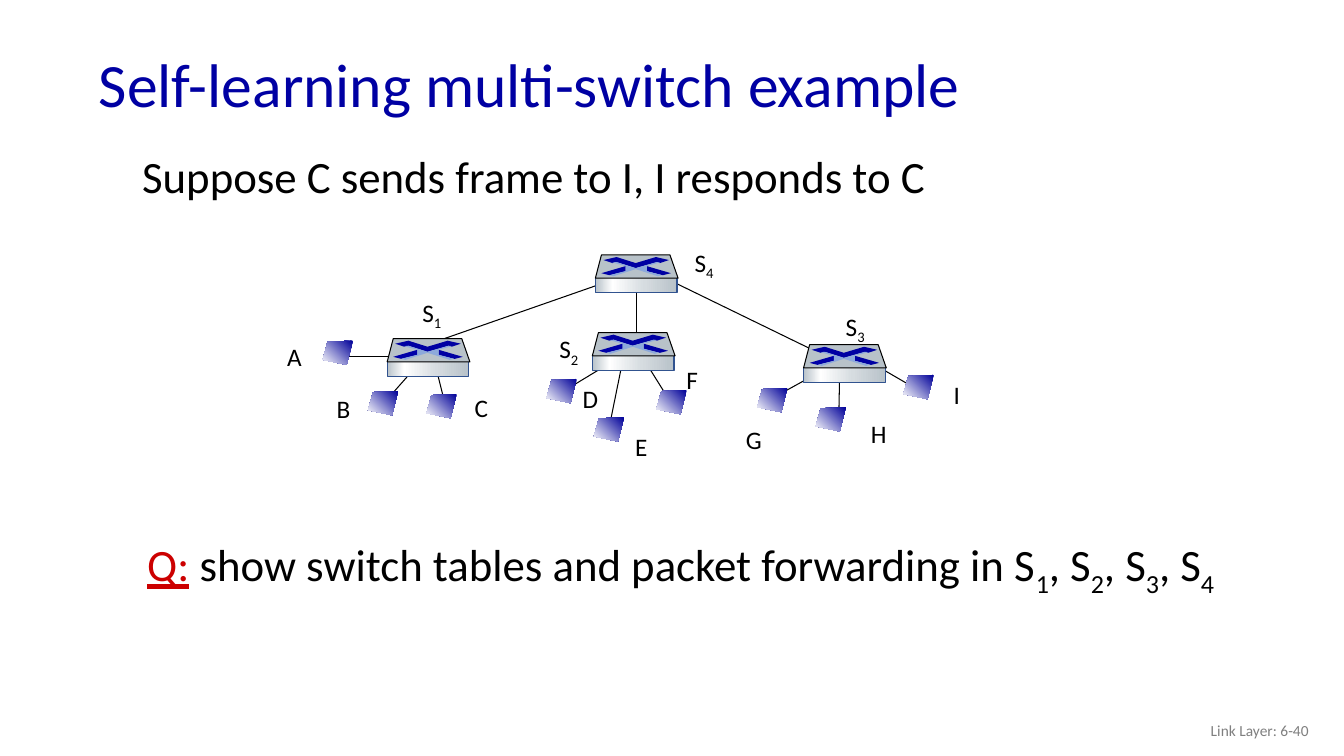
from lxml import etree
from pptx import Presentation
from pptx.dml.color import RGBColor
from pptx.enum.shapes import MSO_CONNECTOR, MSO_SHAPE
from pptx.enum.text import MSO_ANCHOR, MSO_AUTO_SIZE, PP_ALIGN
from pptx.oxml.ns import qn
from pptx.util import Inches, Pt

STRAIGHT = MSO_CONNECTOR.STRAIGHT
RECTANGLE = MSO_SHAPE.RECTANGLE
TOP, MIDDLE = MSO_ANCHOR.TOP, MSO_ANCHOR.MIDDLE
LEFT, RIGHT = PP_ALIGN.LEFT, PP_ALIGN.RIGHT
NO_FIT = MSO_AUTO_SIZE.NONE

FONT = "Calibri"
BLACK = RGBColor(0x00, 0x00, 0x00)
WHITE = RGBColor(0xFF, 0xFF, 0xFF)
TITLE_BLUE = RGBColor(0x00, 0x00, 0xA3)
FOOT_BLUE = RGBColor(0x00, 0x00, 0xA8)
HOST_BLUE = RGBColor(0x00, 0x00, 0x99)
PALE_BLUE = RGBColor(0x8D, 0xA9, 0xDB)
EDGE_BLUE = RGBColor(0x31, 0x53, 0x8F)
STEEL = RGBColor(0xB8, 0xC2, 0xC9)
LIGHT_STEEL = RGBColor(0xD6, 0xDC, 0xE0)
RED = RGBColor(0xCC, 0x00, 0x00)
GREY = RGBColor(0x7F, 0x7F, 0x7F)

# The grid has 133.3 columns and 75 rows; a cell is a tenth of an inch
CELL = Inches(0.1)
COLUMNS, ROWS = 133.3, 75

# Outlines in cells, measured from the top left corner of each icon
HOST = [(3, 0), (0.5, 0.1), (0, 1.9), (2.4, 2.4)]
PLATE = [(0, 2.3), (0.6, 0), (7.4, 0), (8.2, 2.3)]
SWITCH_ARROWS = [
    ([(6, 0.2), (7.3, 0.5), (6.4, 0.8), (6.1, 0.7), (4, 1.3), (2.1, 0.7),
      (1.7, 0.8), (0.8, 0.5), (2.1, 0.2), (4, 0.8)], TITLE_BLUE),
    ([(5.1, 1.1), (7.5, 1.8), (6.7, 2), (5.1, 1.6)], TITLE_BLUE),
    ([(3, 1.1), (3, 1.6), (1.4, 2), (0.6, 1.8)], FOOT_BLUE),
    ([(1.7, 0.75), (2.1, 0.7), (4, 1.3), (6.1, 0.7), (6.4, 0.75), (5.1, 1.1),
      (5.1, 1.6), (6.6, 2), (6.2, 2.1), (4, 1.4), (1.8, 2.1), (1.4, 2),
      (3, 1.6), (3, 1.1)], PALE_BLUE),
]
HOST_GRADIENT = [(0, HOST_BLUE), (100, WHITE)]
BASE_GRADIENT = [(0, STEEL), (21, WHITE), (60, LIGHT_STEEL), (100, STEEL)]

# Name: (icon corner, label corner, label width)
SWITCHES = {
    "S_4": ((59.05, 25.3), (67.9, 24), 4),
    "S_3": ((79.7, 34.2), (82.9, 30.4), 4),
    "S_2": ((58.75, 33), (54.5, 32.6), 4),
    "S_1": ((38.4, 33.6), (40.9, 29), 4),
}
HOSTS = {
    "A": ((32, 33.8), (27.5, 33.4), 3.5),
    "B": ((36.5, 38.8), (32.4, 38.5), 3.4),
    "C": ((42.3, 39.1), (46.1, 38.4), 3.4),
    "D": ((54.2, 37.6), (56.8, 37.5), 3.6),
    "E": ((58.9, 41.4), (62, 42.3), 3.2),
    "F": ((65.1, 38.7), (67.1, 35.7), 3.2),
    "G": ((75.1, 38.5), (73, 41.6), 3.6),
    "H": ((80.9, 40.4), (85.4, 41), 3.6),
    "I": ((89.6, 37.2), (93.6, 37.1), 2.7),
}
LINKS = [
    ((40.4, 35.4), (34.4, 35.4)), ((41.6, 36), (38.6, 39.4)),
    ((43.2, 36.3), (44, 39.5)), ((60.7, 35.9), (56.9, 38.2)),
    ((61.7, 36.1), (60.4, 42.5)), ((63.7, 35.4), (66.2, 39.4)),
    ((82.4, 36.3), (77.7, 38.9)), ((83.3, 36), (83.2, 41.1)),
    ((87.3, 36.5), (90.4, 38.3)), ((59.8, 28.1), (43.2, 33.9)),
    ((63.1, 27.7), (63.1, 34.3)), ((81.2, 35), (65.8, 27.5)),
]


def cells(*values):
    return [round(value * CELL) for value in values]


def write(shape, *parts, size, color=BLACK, align=LEFT, anchor=TOP,
          spacing=1.0, margin=0, indent=0, wrap=True):
    """Each part is text or (text, colour) underlined; _ lowers one digit."""
    frame = shape.text_frame
    frame.word_wrap, frame.auto_size = wrap, NO_FIT
    frame.vertical_anchor = anchor
    paragraph = frame.paragraphs[0]
    properties = paragraph._p.get_or_add_pPr()
    properties.set("marL", str(Inches(margin)))
    properties.set("indent", str(Inches(indent)))
    etree.SubElement(properties, qn("a:buNone"))
    paragraph.alignment, paragraph.line_spacing = align, spacing
    paragraph.space_before = Pt(0)

    def add_run(text, run_color, underline=False, baseline=0):
        if not text:
            return
        run = paragraph.add_run()
        run.text = text
        run.font.name, run.font.size = FONT, Pt(size)
        run.font.color.rgb = run_color
        run.font.underline = underline
        if baseline:
            run._r.get_or_add_rPr().set("baseline", str(baseline))

    for part in parts:
        if isinstance(part, tuple):
            add_run(*part, underline=True)
            continue
        first, *lowered = part.split("_")
        add_run(first, color)
        for piece in lowered:
            add_run(piece[0], color, baseline=-25000)
            add_run(piece[1:], color)


class Diagram:
    def __init__(self, slide):
        self.slide = slide
        self.shapes = slide.shapes
        self.line_width = Pt(0.75)

    def placeholder(self, index, box, *parts, **style):
        shape = self.slide.placeholders[index]
        shape.left, shape.top, shape.width, shape.height = cells(*box)
        write(shape, *parts, **style)

    def text(self, box, *parts, **style):
        write(self.shapes.add_textbox(*cells(*box)), *parts, **style)

    def link(self, start, end):
        line = self.shapes.add_connector(STRAIGHT, *cells(*start, *end))
        line.line.color.rgb, line.line.width = BLACK, self.line_width
        etree.SubElement(line._element.spPr, qn("a:effectLst"))

    def paint(self, shape, fill, edge=None, angle=0):
        shape.shadow.inherit = False
        if isinstance(fill, list):
            shape.fill.gradient()
            shape.fill.gradient_angle = angle
            stops = shape._element.spPr.find(qn("a:gradFill")).find(qn("a:gsLst"))
            stops.clear()
            for percent, color in fill:
                stop = etree.SubElement(stops, qn("a:gs"), pos=str(percent * 1000))
                etree.SubElement(stop, qn("a:srgbClr"), val=str(color))
        else:
            shape.fill.solid()
            shape.fill.fore_color.rgb = fill
        if edge is None:
            shape.line.fill.background()
        else:
            shape.line.color.rgb, shape.line.width = edge, self.line_width

    def outline(self, corner, points, fill, **style):
        left, top = corner
        placed = [cells(left + x, top + y) for x, y in points]
        builder = self.shapes.build_freeform(*placed[0], scale=1.0)
        builder.add_line_segments(placed[1:], close=True)
        self.paint(builder.convert_to_shape(), fill, **style)

    def host(self, corner):
        self.outline(corner, HOST, HOST_GRADIENT, angle=225)

    def switch(self, corner):
        left, top = corner
        base = self.shapes.add_shape(RECTANGLE, *cells(left, top + 2.25, 8.1, 1.5))
        self.paint(base, BASE_GRADIENT, edge=EDGE_BLUE)
        self.outline(corner, PLATE, STEEL, edge=BLACK)
        for points, color in SWITCH_ARROWS:
            self.outline(corner, points, color)


def main():
    presentation = Presentation()
    presentation.slide_width, presentation.slide_height = cells(COLUMNS, ROWS)
    two_content = presentation.slide_layouts[3]
    diagram = Diagram(presentation.slides.add_slide(two_content))

    # Title, statement and question
    diagram.placeholder(0, (8.8, 3.8, 115, 9.8), "Self-learning multi-switch example",
                        size=44, color=TITLE_BLUE, anchor=MIDDLE, spacing=0.9)
    diagram.placeholder(1, (11.6, 14.9, 95.6, 8.8),
                        "Suppose C sends frame to I, I responds to C",
                        size=32, spacing=0.9, margin=0.39, indent=-0.24)
    diagram.placeholder(2, (13.6, 53.1, 119.7, 20.2), ("Q:", RED),
                        " show switch tables and packet forwarding in S_1, S_2, S_3, S_4",
                        size=32, spacing=0.85)

    # Network: links lie behind the icons, labels in front
    for start, end in LINKS:
        diagram.link(start, end)
    for devices, draw in ((HOSTS, diagram.host), (SWITCHES, diagram.switch)):
        for name, (corner, label, width) in devices.items():
            draw(corner)
            diagram.text((*label, width, 4), name, size=18, wrap=False)

    # Footer
    diagram.text((100.8, 70.5, 30, 4), "Link Layer: 6-40",
                 size=11, color=GREY, align=RIGHT, anchor=MIDDLE)

    presentation.save("out.pptx")


if __name__ == "__main__":
    main()
